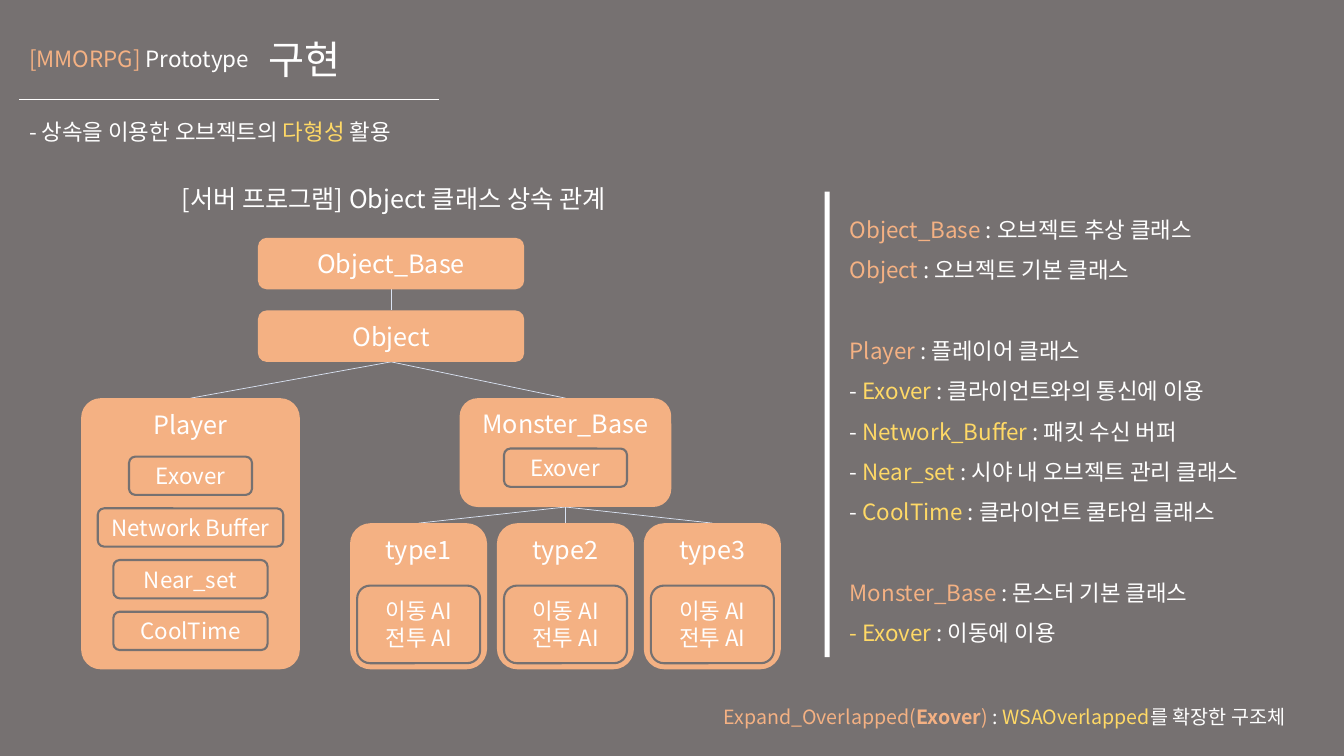
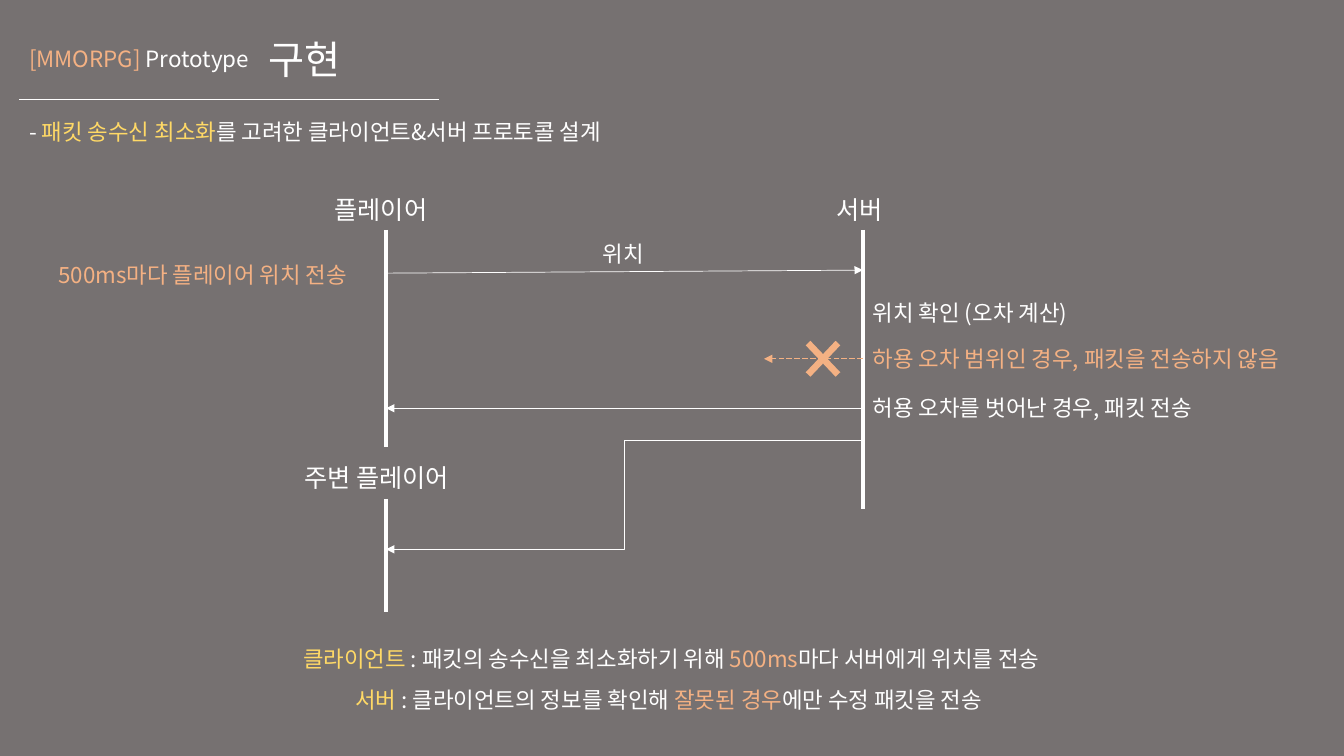
from typing import NamedTuple

from lxml import etree
from pptx import Presentation
from pptx.dml.color import RGBColor
from pptx.enum.dml import MSO_LINE
from pptx.enum.shapes import MSO_CONNECTOR, MSO_SHAPE
from pptx.enum.text import MSO_ANCHOR, MSO_AUTO_SIZE, PP_ALIGN
from pptx.oxml.ns import qn
from pptx.util import Inches, Pt

# Shared look
FONT = "Noto Sans CJK KR"
GREY, WHITE, ORANGE = "767171", "FFFFFF", "F4B183"
YELLOW, PALE = "FFD966", "DAE3F3"
LEFT, CENTER = PP_ALIGN.LEFT, PP_ALIGN.CENTER
TOP, MIDDLE = MSO_ANCHOR.TOP, MSO_ANCHOR.MIDDLE
STRAIGHT, ELBOW = MSO_CONNECTOR.STRAIGHT, MSO_CONNECTOR.ELBOW
ROUNDED, BAR, CROSS = (MSO_SHAPE.ROUNDED_RECTANGLE, MSO_SHAPE.RECTANGLE,
                       MSO_SHAPE.MATH_MULTIPLY)
LONG_DASH = MSO_LINE.LONG_DASH
NO_FIT = MSO_AUTO_SIZE.NONE
TITLE_AND_BODY = 1

# Grid: every length is a number of square cells
COLUMNS, ROWS = 133.33, 75


def cells(count):
    return Inches(count / 10)


class Box(NamedTuple):
    left: float
    top: float
    width: float
    height: float

    @property
    def middle(self):
        return self.left + self.width / 2

    @property
    def head(self):
        return self.middle, self.top

    @property
    def foot(self):
        return self.middle, self.top + self.height

    def emu(self):
        return [cells(side) for side in self]


def centred(middle, top, width, height):
    return Box(middle - width / 2, top, width, height)


def rgb(color):
    return RGBColor.from_string(color)


# Text
def style_run(run, size, color, bold=False):
    font = run.font
    font.name, font.size, font.bold = FONT, Pt(size), bold
    font.color.rgb = rgb(color)
    east_asian = etree.SubElement(run._r.get_or_add_rPr(), qn("a:ea"))
    east_asian.set("typeface", FONT)


def write(frame, lines, size=16, align=LEFT, anchor=TOP, spacing=1.0):
    """Each line is a list of (text, color) or (text, color, bold) runs."""
    frame.word_wrap = True
    frame.auto_size = NO_FIT
    frame.vertical_anchor = anchor
    for number, line in enumerate(lines):
        paragraph = frame.add_paragraph() if number else frame.paragraphs[0]
        paragraph.alignment = align
        paragraph.line_spacing = spacing
        paragraph.space_before = Pt(0)
        for text, *look in line:
            run = paragraph.add_run()
            run.text = text
            style_run(run, size, *look)


def add_text(slide, box, runs, **layout):
    write(slide.shapes.add_textbox(*box.emu()).text_frame, [runs], **layout)


def place(placeholder, box):
    (placeholder.left, placeholder.top,
     placeholder.width, placeholder.height) = box.emu()


def fill_body(slide, box, lines, gap_before=(), align=LEFT):
    body = slide.placeholders[1]
    place(body, box)
    write(body.text_frame, lines, align=align, anchor=MIDDLE, spacing=1.5)
    for number, paragraph in enumerate(body.text_frame.paragraphs):
        if number in gap_before:
            paragraph.space_before = Pt(29)
        properties = paragraph._p.get_or_add_pPr()
        properties.set("marL", "0")
        properties.set("indent", "0")
        etree.SubElement(properties, qn("a:buNone"))


# Shapes and lines
def add_solid(slide, kind, box, color, corner=None):
    shape = slide.shapes.add_shape(kind, *box.emu())
    shape.shadow.inherit = False
    shape.fill.solid()
    shape.fill.fore_color.rgb = rgb(color)
    shape.line.fill.background()
    if corner is not None:
        shape.adjustments[0] = corner
    return shape


def add_class(slide, box, name, anchor=TOP, corner=None):
    shape = add_solid(slide, ROUNDED, box, ORANGE, corner)
    write(shape.text_frame, [[(name, WHITE)]], 18, CENTER, anchor)


def add_member(slide, box, *names):
    shape = add_solid(slide, ROUNDED, box, ORANGE)
    shape.fill.background()
    shape.line.color.rgb = rgb(GREY)
    shape.line.width = Pt(1.5)
    write(shape.text_frame, [[(name, WHITE)] for name in names],
          align=CENTER, anchor=MIDDLE)


def add_line(slide, start, end, color=WHITE, weight=0.5, kind=STRAIGHT,
             arrow=False, dash=None):
    connector = slide.shapes.add_connector(
        kind, *[cells(value) for value in (*start, *end)])
    connector.line.color.rgb = rgb(color)
    connector.line.width = Pt(weight)
    if dash is not None:
        connector.line.dash_style = dash
    if arrow:
        tail = etree.SubElement(connector.line._get_or_add_ln(),
                                qn("a:tailEnd"))
        tail.set("type", "triangle")
    etree.SubElement(connector._element.spPr, qn("a:effectLst"))


def new_slide(prs, topic):
    """Slide with the shared header and a line stating its topic."""
    slide = prs.slides.add_slide(prs.slide_layouts[TITLE_AND_BODY])
    place(slide.shapes.title, Box(25.6, 1.7, 18, 8.9))
    write(slide.shapes.title.text_frame, [[("구현", WHITE)]], 28,
          anchor=MIDDLE, spacing=0.9)
    add_text(slide, Box(1.9, 4, 29.8, 3.7),
             [("[MMORPG] ", ORANGE), ("Prototype", WHITE)])
    add_line(slide, (1.9, 9.9), (43.6, 9.9))
    add_text(slide, Box(1.9, 9.9, 101.9, 4.5), topic, spacing=1.5)
    return slide


# Slide 1: class inheritance
def inheritance_slide(prs):
    slide = new_slide(prs, [("- 상속을 이용한 오브젝트의 ", WHITE),
                            ("다형성 ", YELLOW), ("활용", WHITE)])
    add_text(slide, Box(7, 16.8, 64.1, 5.7),
             [("[서버 프로그램] Object 클래스 상속 관계", WHITE)],
             size=18, align=CENTER, anchor=MIDDLE)

    base = centred(38.8, 23.6, 26.4, 5.1)
    derived = base._replace(top=30.8)
    player = centred(18.9, 39.5, 21.7, 26.9)
    monster = centred(56.1, 39.5, 21, 10.8)
    monster_types = [centred(monster.middle + step * 14.57, 51.9, 13.6, 14.5)
                     for step in (-1, 0, 1)]

    links = [(base, derived), (derived, player), (derived, monster)]
    links += [(monster, monster_type) for monster_type in monster_types]
    for parent, child in links:
        add_line(slide, parent.foot, child.head, PALE)

    add_class(slide, base, "Object_Base", MIDDLE)
    add_class(slide, derived, "Object", MIDDLE)
    add_class(slide, player, "Player", corner=0.09)
    add_class(slide, monster, "Monster_Base")

    # Members of each class
    player_members = [("Exover", 12.2), ("Network Buffer", 18.4),
                      ("Near_set", 15.3), ("CoolTime", 15.3)]
    for row, (name, width) in enumerate(player_members):
        add_member(slide, centred(player.middle, 45.3 + row * 5.13,
                                  width, 3.8), name)
    add_member(slide, centred(monster.middle, 44.5, 12.2, 3.8), "Exover")
    for number, box in enumerate(monster_types, 1):
        add_class(slide, box, f"type{number}", corner=0.15)
        add_member(slide, centred(box.middle, 58.1, 12.2, 7.7),
                   "이동 AI", "전투 AI")

    # Class descriptions
    add_solid(slide, BAR, Box(81.8, 19, 0.5, 46.2), WHITE)
    descriptions = [
        [("Object_Base ", ORANGE), (": 오브젝트 추상 클래스", WHITE)],
        [("Object ", ORANGE), (": 오브젝트 기본 클래스", WHITE)],
        [("Player ", ORANGE), (": 플레이어 클래스", WHITE)],
        [("- ", WHITE), ("Exover ", YELLOW),
         (": 클라이언트와의 통신에 이용", WHITE)],
        [("- ", WHITE), ("Network_Buffer", YELLOW),
         (" : 패킷 수신 버퍼", WHITE)],
        [("- ", WHITE), ("Near_set ", YELLOW),
         (": 시야 내 오브젝트 관리 클래스", WHITE)],
        [("- ", WHITE), ("CoolTime", YELLOW),
         (" : 클라이언트 쿨타임 클래스", WHITE)],
        [("Monster_Base ", ORANGE), (": 몬스터 기본 클래스", WHITE)],
        [("- Exover ", YELLOW), (": 이동에 이용", WHITE)],
    ]
    fill_body(slide, Box(83.3, 19, 45.8, 46.2), descriptions,
              gap_before=(2, 7))
    add_text(slide, Box(70.8, 68.3, 59.7, 4.1),
             [("Expand_Overlapped(", ORANGE), ("Exover", ORANGE, True),
              (") ", ORANGE), (": ", WHITE), ("WSAOverlapped", YELLOW),
              ("를 확장한 구조체", WHITE)], size=14, spacing=1.5)


# Slide 2: packet protocol
def protocol_slide(prs):
    slide = new_slide(prs, [
        ("- ", WHITE), ("패킷 송수신 최소화", YELLOW),
        ("를 고려한 클라이언트&서버 프로토콜 설계", WHITE)])
    client, server = 38.3, 85.6

    # Lifelines: name, name position, x, top, bottom
    lifelines = [("플레이어", 32.2, 18.8, client, 22.8, 44.3),
                 ("서버", 82, 18.8, server, 22.8, 50.5),
                 ("주변 플레이어", 29.2, 45.4, client, 49.5, 60.7)]
    for name, left, name_top, x, top, bottom in lifelines:
        add_text(slide, Box(left, name_top, 20, 4), [(name, WHITE)], size=18)
        add_line(slide, (x, top), (x, bottom), weight=3)

    # Messages
    add_line(slide, (client, 27.1), (server, 26.8), arrow=True)
    add_line(slide, (server, 35.6), (75.8, 35.6), ORANGE, arrow=True,
             dash=LONG_DASH)
    add_solid(slide, CROSS, Box(78.8, 32.6, 5.7, 6), ORANGE, 0.113)
    add_line(slide, (server, 40.5), (client, 40.5), arrow=True)
    add_line(slide, (server, 43.7), (client, 54.5), kind=ELBOW, arrow=True)

    # Message notes
    notes = [("위치", 58.8, 23.3, WHITE),
             ("500ms마다 플레이어 위치 전송", 4.8, 25.4, ORANGE),
             ("위치 확인 (오차 계산)", server, 29.2, WHITE),
             ("하용 오차 범위인 경우, 패킷을 전송하지 않음",
              server, 33.8, ORANGE),
             ("허용 오차를 벗어난 경우, 패킷 전송", server, 38.6, WHITE)]
    for text, left, top, color in notes:
        add_text(slide, Box(left, top, COLUMNS - server, 3.7),
                 [(text, color)])

    # Summary
    fill_body(slide, Box(19.8, 62.9, 93.6, 7.6), [
        [("클라이언트 ", YELLOW), (": 패킷의 송수신을 최소화하기 위해 ", WHITE),
         ("500ms", ORANGE), ("마다 서버에게 위치를 전송", WHITE)],
        [("서버 ", YELLOW), (": 클라이언트의 정보를 확인해 ", WHITE),
         ("잘못된 경우", ORANGE), ("에만 수정 패킷을 전송 ", WHITE)],
    ], align=CENTER)


def main():
    prs = Presentation()
    prs.slide_width, prs.slide_height = cells(COLUMNS), cells(ROWS)
    backdrop = prs.slide_master.background.fill
    backdrop.solid()
    backdrop.fore_color.rgb = rgb(GREY)
    inheritance_slide(prs)
    protocol_slide(prs)
    prs.save("out.pptx")


if __name__ == "__main__":
    main()
